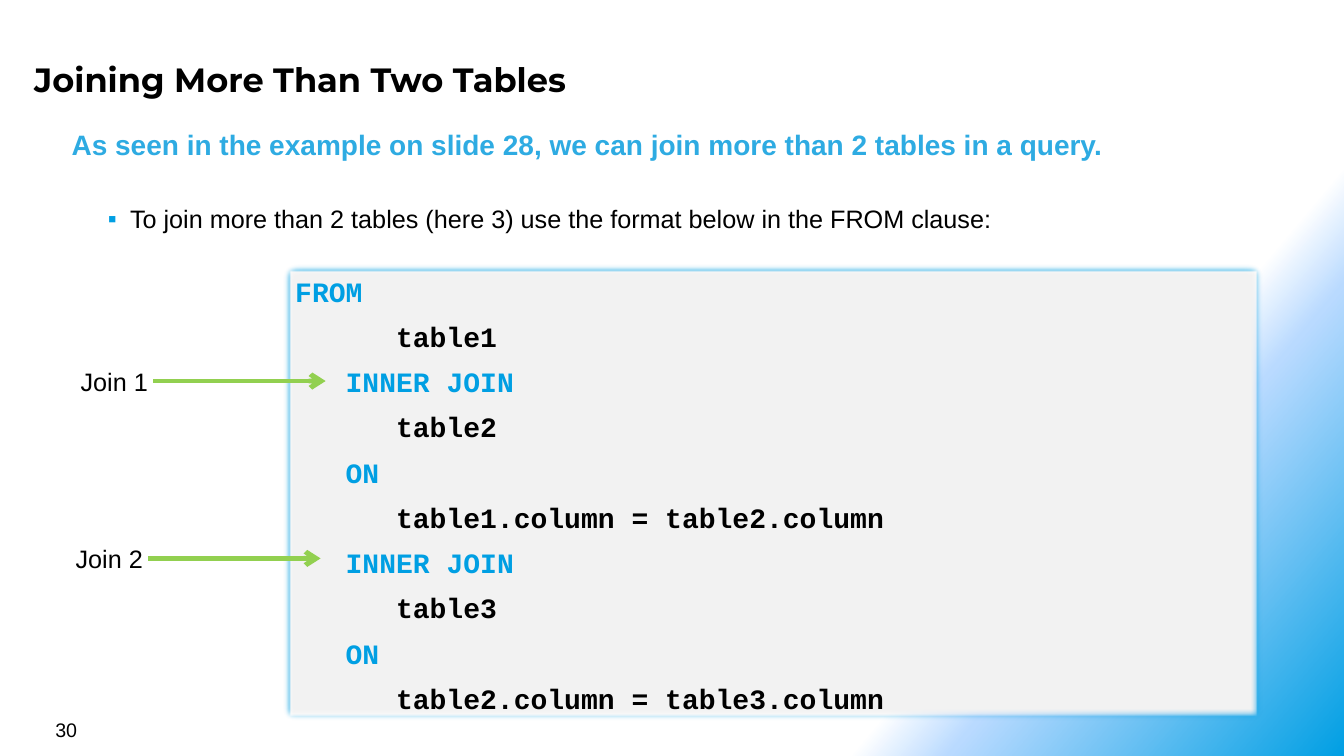
from lxml import etree
from pptx import Presentation
from pptx import util as u
from pptx.dml.color import RGBColor
from pptx.enum import shapes, text
from pptx.oxml import parse_xml
from pptx.oxml.ns import nsdecls, qn

BLACK = RGBColor(0x00, 0x00, 0x00)
BLUE = RGBColor(0x00, 0x9F, 0xE3)
SKY = RGBColor(0x2E, 0xAB, 0xE2)
PALE = RGBColor(0xB9, 0xDA, 0xFF)
WHITE = RGBColor(0xFF, 0xFF, 0xFF)
GREY = RGBColor(0xF2, 0xF2, 0xF2)
GREEN = RGBColor(0x92, 0xD0, 0x50)

WIDE, HIGH = 13.33, 7.5
TAB = 0.5
CODE = [
    (0, "FROM"),
    (2, "table1"),
    (1, "INNER JOIN"),
    (2, "table2"),
    (1, "ON"),
    (2, "table1.column = table2.column"),
    (1, "INNER JOIN"),
    (2, "table3"),
    (1, "ON"),
    (2, "table2.column = table3.column"),
]


def indent(para, left, hang=0):
    props = para._p.get_or_add_pPr()
    props.set("marL", str(u.Inches(left)))
    props.set("indent", str(u.Inches(hang)))
    return props


def write(para, words, size, color, face="Arial", bold=False):
    run = para.add_run()
    run.text = words
    font = run.font
    font.size, font.name, font.bold = u.Pt(size), face, bold
    font.color.rgb = color


def label(slide, box, words, size, color=BLACK, face="Arial", bold=False, pad=0.08):
    """Add one line of text, centred in the height of its box."""
    shape = slide.shapes.add_textbox(*map(u.Inches, box))
    frame = shape.text_frame
    frame.word_wrap = True
    frame.vertical_anchor = text.MSO_ANCHOR.MIDDLE
    frame.margin_left = frame.margin_right = u.Inches(pad)
    frame.margin_top = frame.margin_bottom = u.Inches(0.05)
    para = frame.paragraphs[0]
    write(para, words, size, color, face, bold)
    return para


def backdrop(slide):
    """Fade from white to blue towards the lower right corner."""
    fill = slide.background.fill
    fill.gradient()
    grad = slide.background._cSld.find(".//" + qn("a:gradFill"))
    stops = grad.find(qn("a:gsLst"))
    for stop in list(stops):
        stops.remove(stop)
    for share, color in ((0, WHITE), (75, WHITE), (80, PALE), (100, BLUE)):
        stop = etree.SubElement(stops, qn("a:gs"), pos=str(share * 1000))
        etree.SubElement(stop, qn("a:srgbClr"), val=str(color))
    grad.find(qn("a:lin")).set("ang", str(40 * 60000))


def heading(slide, box):
    left, top, width, _ = box
    label(slide, (left, top, width, 0.55), "Joining More Than Two Tables",
          24, face="Montserrat", bold=True)
    label(slide, (left + 0.37, top + 0.67, width - 0.12, 0.5),
          "As seen in the example on slide 28, we can join more than 2 tables in a query.",
          20, SKY, bold=True)
    point = label(slide, (left + 0.64, top + 1.43, width - 0.82, 0.46),
                  "To join more than 2 tables (here 3) use the format below in the FROM clause:", 18)
    props = indent(point, 0.31, -0.22)
    color = etree.SubElement(props, qn("a:buClr"))
    etree.SubElement(color, qn("a:srgbClr"), val=str(BLUE))
    etree.SubElement(props, qn("a:buFont"), typeface="Arial")
    etree.SubElement(props, qn("a:buChar"), char="▪")


def listing(slide, box):
    """Show the query in a soft-edged panel, keywords in blue."""
    panel = slide.shapes.add_shape(shapes.MSO_SHAPE.RECTANGLE, *map(u.Inches, box))
    panel.shadow.inherit = False
    panel.fill.solid()
    panel.fill.fore_color.rgb = GREY
    panel.line.color.rgb = BLUE
    panel.line.width = u.Pt(6)
    effects = panel._element.spPr.find(qn("a:effectLst"))
    etree.SubElement(effects, qn("a:softEdge"), rad=str(u.Pt(5)))
    frame = panel.text_frame
    frame.word_wrap = True
    frame.vertical_anchor = text.MSO_ANCHOR.TOP
    frame.margin_top = u.Inches(0.07)
    for row, (depth, words) in enumerate(CODE):
        para = frame.paragraphs[0] if row == 0 else frame.add_paragraph()
        indent(para, depth * TAB)
        para.alignment = text.PP_ALIGN.LEFT
        para.space_after = u.Pt(8.3)
        write(para, words, 20, BLACK if depth == 2 else BLUE, "Courier New", True)


def pointer(slide, box, words):
    """Name a join and point from the name to its line of code."""
    left, top, width, height = box
    indent(label(slide, (left, top, 1.67, height), words, 18), 0.09)
    mid = top + height / 2
    ends = (left + 0.89, mid, left + width, mid)
    arrow = slide.shapes.add_connector(shapes.MSO_CONNECTOR.STRAIGHT, *map(u.Inches, ends))
    arrow.line.color.rgb = GREEN
    arrow.line.width = u.Pt(3.5)
    arrow.line._get_or_add_ln().append(
        parse_xml(f'<a:tailEnd {nsdecls("a")} type="arrow"/>'))
    etree.SubElement(arrow._element.spPr, qn("a:effectLst"))


def main():
    deck = Presentation()
    deck.slide_width, deck.slide_height = u.Inches(WIDE), u.Inches(HIGH)
    slide = deck.slides.add_slide(deck.slide_layouts[6])
    backdrop(slide)
    listing(slide, (2.83, 2.65, 9.67, 4.48))
    heading(slide, (0.26, 0.51, 12.26, 1.89))
    pointer(slide, (0.63, 3.55, 2.6, 0.46), "Join 1")
    pointer(slide, (0.58, 5.31, 2.6, 0.46), "Join 2")
    label(slide, (0.45, 7.07, 3.11, 0.33), "30", 14, pad=0.1)
    deck.save("out.pptx")


if __name__ == "__main__":
    main()
